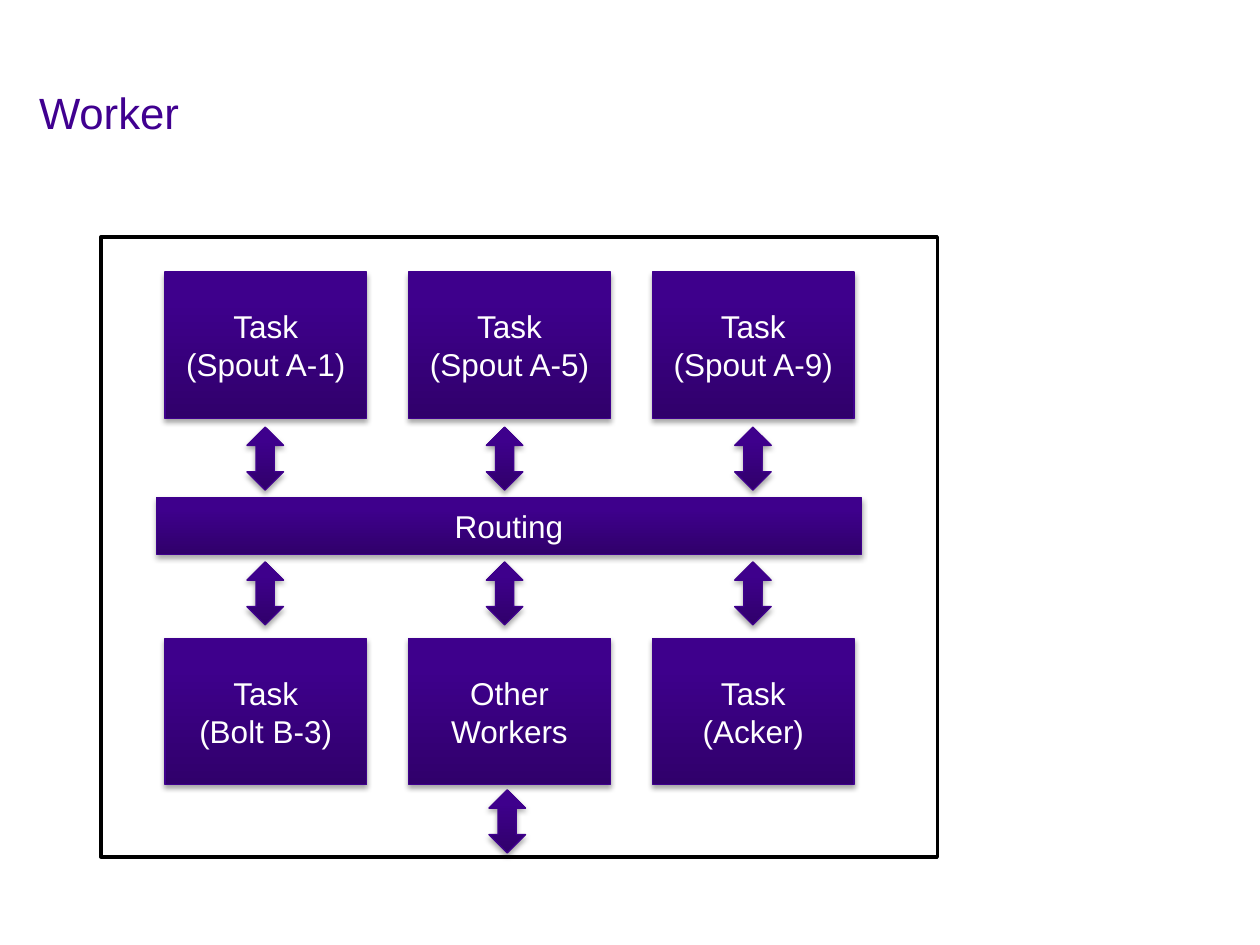
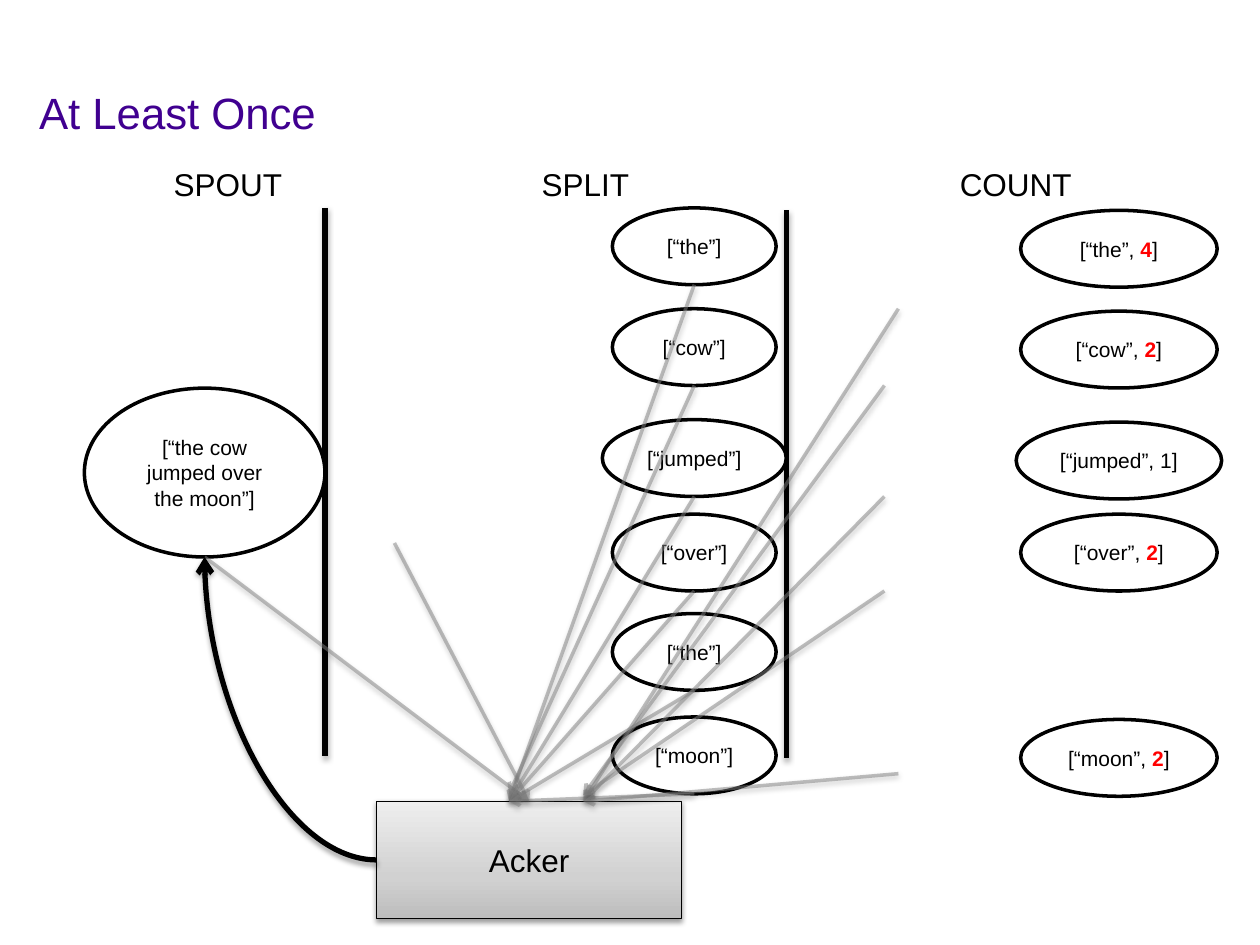
from copy import deepcopy
from lxml.etree import SubElement as Sub
from pptx import Presentation
from pptx.dml.color import RGBColor as RGB
from pptx.enum.shapes import MSO_CONNECTOR as LINK, MSO_SHAPE as FORM
from pptx.enum.text import MSO_ANCHOR as ANCHOR, MSO_AUTO_SIZE as AUTO, PP_ALIGN as ALIGN
from pptx.oxml.ns import qn
from pptx.util import Pt

FONT = "Arial"
BLACK = RGB(0, 0, 0)
WHITE = RGB(255, 255, 255)
RED = RGB(255, 0, 0)
GRAY = RGB(0x80, 0x80, 0x80)
TITLE = RGB(0x40, 0x00, 0x90)
EDGE = RGB(0x3F, 0x00, 0x8D)
DEEP = RGB(0x30, 0x00, 0x6B)
VIOLET = RGB(0x3E, 0x00, 0x8C)
PURPLE = [(0, DEEP), (0.8, VIOLET), (1, VIOLET)]
SILVER = [(0, RGB(0xBD, 0xBD, 0xBD)), (0.35, RGB(0xD1, 0xD1, 0xD1)),
          (1, RGB(0xEE, 0xEE, 0xEE))]
DARK = (35, 1.8)
SOFT = (38, 1.6)


def style(run, size, color, bold=False):
    """Set the font of one run."""
    run.font.name = FONT
    run.font.size = Pt(size)
    run.font.bold = bold
    run.font.color.rgb = color


def shade(item, look):
    """Give a shape or connector a soft shadow below it."""
    props = item._element.spPr
    list_ = props.find(qn("a:effectLst"))
    if list_ is None:
        list_ = Sub(props, qn("a:effectLst"))
    alpha, gap = look
    drop = Sub(list_, qn("a:outerShdw"), blurRad=str(Pt(3.1)), dist=str(Pt(gap)),
               dir="5400000", rotWithShape="0")
    tint = Sub(drop, qn("a:srgbClr"), val=str(BLACK))
    Sub(tint, qn("a:alpha"), val=str(alpha * 1000))


def blend(fill, stops):
    """Fill from bottom to top through the given stops."""
    fill.gradient()
    fill.gradient_angle = 90
    list_ = fill._xPr.find(qn("a:gradFill")).find(qn("a:gsLst"))
    while len(list_) < len(stops):
        list_.append(deepcopy(list_[-1]))
    for stop, (place, color) in zip(fill.gradient_stops, stops):
        stop.color.rgb = color
        stop.position = place


def form(slide, kind, box, fill, edge, width, look=None):
    """Draw a preset shape, plain or blended."""
    shape = slide.shapes.add_shape(kind, *map(Pt, box))
    shape.shadow.inherit = False
    if isinstance(fill, list):
        blend(shape.fill, fill)
    else:
        shape.fill.solid()
        shape.fill.fore_color.rgb = fill
    shape.line.color.rgb = edge
    shape.line.width = Pt(width)
    if look:
        shade(shape, look)
    return shape


def label(shape, text, size, color):
    """Write centred text in a shape."""
    frame = shape.text_frame
    frame.text = text
    frame.vertical_anchor = ANCHOR.MIDDLE
    for para in frame.paragraphs:
        para.alignment = ALIGN.CENTER
        for run in para.runs:
            style(run, size, color)


def block(slide, box, text):
    """Draw a purple block with white text."""
    shape = form(slide, FORM.RECTANGLE, box, PURPLE, EDGE, 0.75, DARK)
    label(shape, text, 18, WHITE)


def arrow(slide, x, y):
    """Draw a purple arrow that points up and down."""
    form(slide, FORM.UP_DOWN_ARROW, (x, y, 20.9, 36), PURPLE, EDGE, 0.75, DARK)


def oval(slide, box, text):
    """Draw a white oval with small text."""
    shape = form(slide, FORM.OVAL, box, WHITE, BLACK, 2)
    label(shape, text, 12, BLACK)
    return shape


def link(slide, start, end, color, width, look, kind=LINK.STRAIGHT, head=True):
    """Draw a connector with a shadow."""
    line = slide.shapes.add_connector(kind, *map(Pt, (*start, *end)))
    line.line.color.rgb = color
    line.line.width = Pt(width)
    if head:
        Sub(line.line._get_or_add_ln(), qn("a:tailEnd"), type="arrow")
    shade(line, look)
    return line


def ray(slide, start, end):
    """Draw a half-clear gray arrow."""
    line = link(slide, start, end, GRAY, 2, SOFT)
    tint = next(line.line._get_or_add_ln().iter(qn("a:srgbClr")))
    Sub(tint, qn("a:alpha"), val="50000")
    return line


def page(deck, text):
    """Add a slide with its title."""
    slide = deck.slides.add_slide(deck.slide_layouts[6])
    frame = slide.shapes.add_textbox(Pt(22.3), Pt(46.1), Pt(671), Pt(85)).text_frame
    frame.word_wrap = True
    frame.margin_left = frame.margin_right = frame.margin_bottom = 0
    frame.margin_top = Pt(3)
    frame.text = text
    style(frame.paragraphs[0].runs[0], 25, TITLE)
    return slide


def worker(slide, box):
    """Draw the worker frame with its tasks and routing."""
    form(slide, FORM.RECTANGLE, box, WHITE, BLACK, 2)
    x, y = box[:2]
    rows = [(20.1, ("Task\n(Spout A-1)", "Task\n(Spout A-5)", "Task\n(Spout A-9)")),
            (229.6, ("Task\n(Bolt B-3)", "Other Workers", "Task\n(Acker)"))]
    for top, names in rows:
        for col, name in enumerate(names):
            block(slide, (x + 36.7 + 139.3 * col, y + top, 115.2, 83.5), name)
    for top in (108.7, 185.7):
        for left in (83.5, 220.3, 362.2):
            arrow(slide, x + left, y + top)
    block(slide, (x + 31.7, y + 149, 403.2, 32.4), "Routing")
    arrow(slide, x + 221.8, y + 316)


def heads(slide, box):
    """Draw the column heads and the bars between them."""
    x, y, w, h = box
    for left, top in ((93.6, 28.1), (357.1, 29.5)):
        link(slide, (x + left, y + top), (x + left, y + h + top - 28.1),
             BLACK, 3, DARK, head=False)
    for left, wide, text in ((0, 77, "SPOUT"), (210.2, 64.8, "SPLIT"),
                             (449.2, 79.2, "COUNT")):
        frame = slide.shapes.add_textbox(
            Pt(x + left), Pt(y), Pt(wide), Pt(28.8)).text_frame
        frame.word_wrap = False
        frame.auto_size = AUTO.SHAPE_TO_FIT_TEXT
        frame.text = text
        style(frame.paragraphs[0].runs[0], 18, BLACK)


def source(slide, box):
    """Draw the spout's sentence."""
    return oval(slide, box, "[“the cow jumped over the moon”]")


def acker(slide, box, spout):
    """Draw the acker and the ray from the spout."""
    shape = form(slide, FORM.RECTANGLE, box, SILVER, BLACK, 0.75, SOFT)
    label(shape, "Acker", 18, BLACK)
    x, y, w, h = box
    ray(slide, foot(spout), (x + w / 2, y)).end_connect(shape, 0)
    return shape


def foot(shape):
    """Return the middle of a shape's lower side."""
    return ((shape.left + shape.width / 2) / 12700,
            (shape.top + shape.height) / 12700)


def split(slide, box, tip):
    """Draw the split words and their rays to the acker."""
    x, y, w, h = box
    words = [("the", 0, 0), ("cow", 57.6, 4.3), ("jumped", 121, 0),
             ("over", 175, 0), ("the", 231.8, 0), ("moon", 290.9, 0)]
    feet = []
    for word, top, lift in words:
        wide = w if word == "jumped" else w - 11.5
        shape = oval(slide, (x + (w - wide) / 2, y + top, wide, 43.9), f"[“{word}”]")
        feet.append((foot(shape), lift))
    for start, lift in feet:
        ray(slide, start, (tip[0], tip[1] - lift))


def acks(slide, box, hub):
    """Draw the other rays that reach the acker."""
    x, y, w, h = box
    ray(slide, (x, y + 133.9), (302.4, y + h)).end_connect(hub, 0)
    for left, top, lift in ((288, 0, 0), (280, 43.9, 3.6), (280, 107.3, 0),
                            (280, 161.3, 3.6), (288, 265.7, 0)):
        ray(slide, (x + left, y + top), (x + 108, y + h - lift))


def reply(slide, spout, hub):
    """Curve from the acker back to the spout."""
    start = (hub.left / 12700, (hub.top + hub.height / 2) / 12700)
    line = link(slide, start, foot(spout), BLACK, 3, DARK, LINK.CURVE)
    line.begin_connect(hub, 1)
    root = line._element
    root.spPr.find(qn("a:prstGeom")).set("prst", "curvedConnector2")
    Sub(next(root.iter(qn("p:cNvCxnSpPr"))), qn("a:endCxn"),
        id=str(spout.shape_id), idx="4")


def count(slide, box):
    """Draw the counted words, with changed counts in red."""
    x, y, w, h = box
    for word, num, top in (("the", 4, 0), ("cow", 2, 57.6), ("jumped", 1, 121),
                           ("over", 2, 173.6), ("moon", 2, 290.9)):
        wide = w if word == "jumped" else w - 5.1
        shape = oval(slide, (x + (w - wide) / 2, y + top, wide, 43.9), f"[“{word}”, ")
        para = shape.text_frame.paragraphs[0]
        for text, hot in ((str(num), num > 1), ("]", False)):
            run = para.add_run()
            run.text = text
            style(run, 12, RED if hot else BLACK, hot)


def main():
    """Build both slides and save them."""
    deck = Presentation()
    deck.slide_width, deck.slide_height = Pt(720), Pt(540)
    worker(page(deck, "Worker"), (57.6, 135.4, 478, 354.2))
    slide = page(deck, "At Least Once")
    heads(slide, (92.2, 90.7, 528.4, 341.3))
    spout = source(slide, (48.2, 221.8, 137.5, 96.5))
    hub = acker(slide, (215.3, 457.9, 174.2, 67), spout)
    split(slide, (344.2, 118.8, 105.1, 334.8), (290.9, 457.9))
    acks(slide, (225.4, 176.4, 288, 281.5), hub)
    reply(slide, spout, hub)
    count(slide, (580.7, 120.2, 117.4, 334.8))
    deck.save("out.pptx")


if __name__ == "__main__":
    main()
